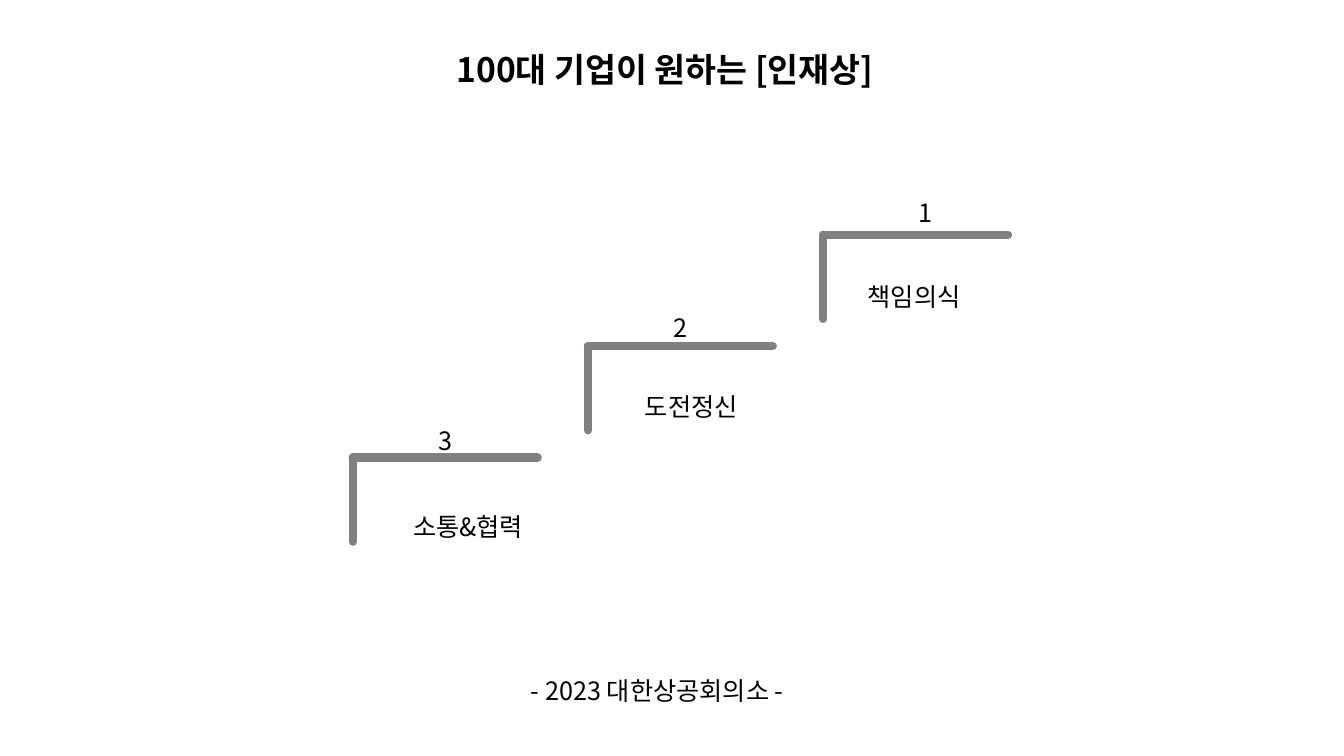
import pptx
import pptx.dml.color
import pptx.enum.dml
import pptx.enum.shapes
import pptx.enum.text
import pptx.oxml.ns
import pptx.util
from lxml import etree

COLUMNS, ROWS = 80, 45
THEME = {
    "font": "Noto Sans CJK KR",
    "text": pptx.dml.color.RGBColor(0, 0, 0),
    "stair": pptx.dml.color.RGBColor(0x80, 0x80, 0x80),
    "title_size": pptx.util.Pt(24),
    "body_size": pptx.util.Pt(18),
    "stair_width": pptx.util.Pt(6),
}
TITLE = ("100대 기업이 원하는 [인재상]", (26.58, 2.64, 28.5, 3))
SOURCE = ("- 2023 대한상공회의소 -", (31.02, 39.9, 18, 2.4))
STEPS = [
    {"rank": ("3", (25.5, 25.02, 2.04, 2.4)), "trait": ("소통&협력", (24, 30.12, 8.52, 2.4))},
    {"rank": ("2", (39.48, 18.3, 2.04, 2.4)), "trait": ("도전정신", (37.8, 22.98, 7.26, 2.4))},
    {"rank": ("1", (54.06, 11.46, 2.04, 2.4)), "trait": ("책임의식", (51.06, 16.44, 7.26, 2.4))},
]
STAIR_START = (21, 27.24)
STAIR_SHIFT = (14, -6.63)
TREAD, RISER = 11, 5

presentation = pptx.Presentation()
presentation.slide_width = pptx.util.Inches(13.333)
presentation.slide_height = pptx.util.Inches(7.5)
slide = presentation.slides.add_slide(presentation.slide_layouts[6])


def across(columns):
    return round(presentation.slide_width * columns / COLUMNS)


def down(rows):
    return round(presentation.slide_height * rows / ROWS)


def set_all(target, values):
    for name, value in values.items():
        setattr(target, name, value)


def add_text(text, place, size=THEME["body_size"], bold=False):
    left, top, width, height = place
    box = slide.shapes.add_textbox(across(left), down(top), across(width), down(height))
    set_all(box.text_frame, {
        "word_wrap": False,
        "auto_size": pptx.enum.text.MSO_AUTO_SIZE.SHAPE_TO_FIT_TEXT,
    })
    run = box.text_frame.paragraphs[0].add_run()
    run.text = text
    set_all(run.font, {"name": THEME["font"], "size": size, "bold": bold})
    run.font.color.rgb = THEME["text"]
    east_asian = etree.SubElement(run.font._element, pptx.oxml.ns.qn("a:ea"))
    east_asian.set("typeface", THEME["font"])


def add_bar(group, start, end):
    bar = group.shapes.add_connector(
        pptx.enum.shapes.MSO_CONNECTOR.STRAIGHT,
        across(start[0]), down(start[1]), across(end[0]), down(end[1]))
    bar.line.width = THEME["stair_width"]
    bar.line.color.rgb = THEME["stair"]
    properties = bar._element.spPr
    properties.find(pptx.oxml.ns.qn("a:ln")).set("cap", "rnd")
    etree.SubElement(properties, pptx.oxml.ns.qn("a:effectLst"))


add_text(*TITLE, size=THEME["title_size"], bold=True)
add_text(*SOURCE)
for index, step in enumerate(STEPS):
    column, row = (start + index * shift for start, shift in zip(STAIR_START, STAIR_SHIFT))
    stair = slide.shapes.add_group_shape()
    for end in ((column, row + RISER), (column + TREAD, row)):
        add_bar(stair, (column, row), end)
    add_text(*step["trait"])
    add_text(*step["rank"])

presentation.save("out.pptx")
